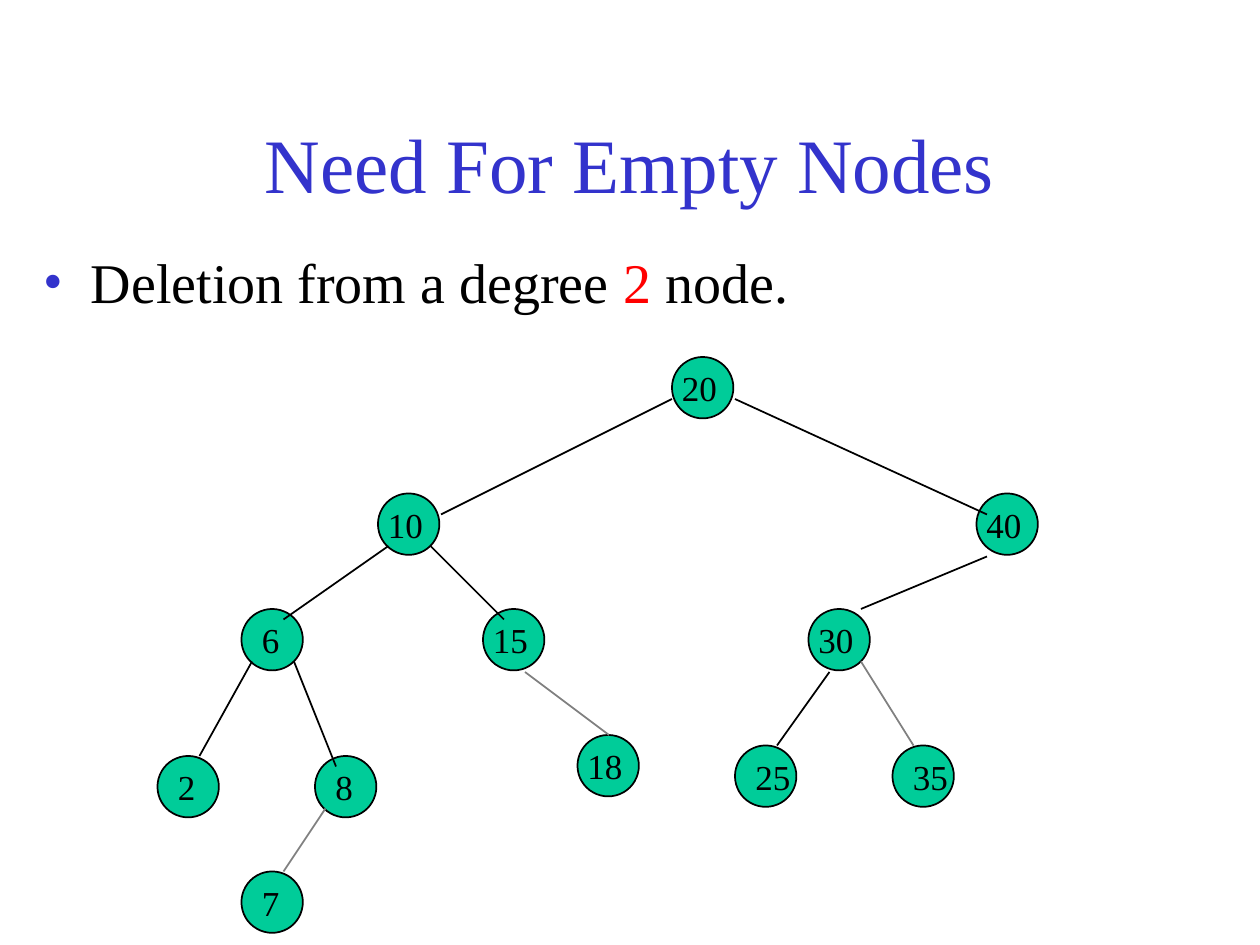
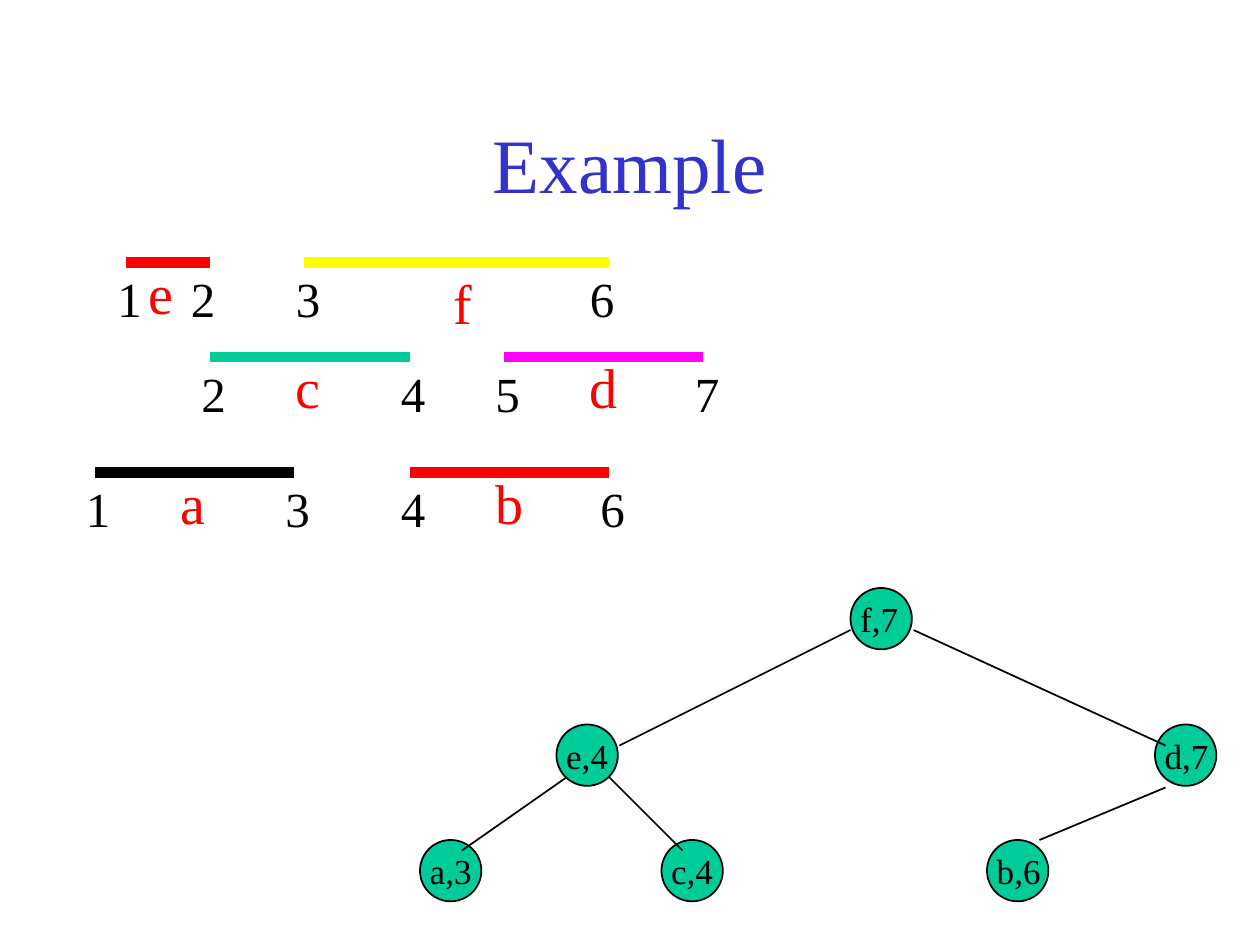
import pptx
import pptx.util
import pptx.dml.color
import pptx.enum.shapes
import pptx.enum.text
import pptx.oxml.ns
from lxml import etree

# Look
FONT = "Times New Roman"
BLUE, BLACK, RED = "3333CC", "000000", "FF0000"
GREEN, GRAY = "00CC99", "808080"
STEP = 2.54 / 12  # grid step in cm; every place below counts these steps
NODE = 5.85

# Tree: node places, then edges as x1, y1, x2, y2, colour
TOP = [(64, 34), (36, 47), (93, 47), (23, 58), (46, 58), (77, 58)]
LOW = [(15, 72), (30, 72), (70, 71), (85, 71), (23, 83), (55, 70)]
TOP_EDGES = [
    (64, 38, 42, 49, BLACK), (70, 38, 94, 49, BLACK),
    (37, 52, 27, 59, BLACK), (41, 52, 48, 59, BLACK),
    (94, 53, 82, 58, BLACK),
]
LOW_EDGES = [
    (24, 63, 19, 72, BLACK), (28, 63, 32, 73, BLACK),
    (79, 64, 74, 71, BLACK), (82, 63, 87, 71, GRAY),
    (31, 77, 27, 83, GRAY), (50, 64, 58, 70, GRAY),
]
KEYS = ["20", "10", "40", "6", "15", "30", "2", "8", "25", "35", "7", "18"]
PAIRS = ["f,7", "e,4", "d,7", "a,3", "c,4", "b,6"]
SHIFT = (17, 22)  # offset of the second tree

# Label width by length; labels set further right in their node
WIDTHS = {1: 4.2, 2: 5.9, 3: 7}
INDENT = {"25", "35"}

# Intervals: name, its place, start, end, bar left, right, y, colour
SPANS = [
    ("a", (16, 44), "1", "3", 9, 28, 45, BLACK),
    ("c", (27, 33), "2", "4", 20, 39, 34, GREEN),
    ("b", (46, 44), "4", "6", 39, 58, 45, RED),
    ("f", (42, 25), "3", "6", 29, 58, 25, "FFFF00"),
    ("d", (55, 33), "5", "7", 48, 67, 34, "FF00FF"),
    ("e", (13, 24), "1", "2", 12, 20, 25, RED),
]


def grid(*nums):
    return [pptx.util.Cm(n * STEP) for n in nums]


def rgb(code):
    return pptx.dml.color.RGBColor.from_string(code)


def text(slide, box, runs, size, color=BLACK, wrap=True, before=0):
    """Add one paragraph; a run is a string or a (string, colour) pair."""
    shape = slide.shapes.add_textbox(*grid(*box))
    frame = shape.text_frame
    frame.word_wrap = wrap
    para = frame.paragraphs[0]
    if before:
        para.space_before = pptx.util.Pt(before)
    para.font.name = FONT
    para.font.size = pptx.util.Pt(size)
    para.font.color.rgb = rgb(color)
    for part in runs:
        run = para.add_run()
        if isinstance(part, tuple):
            run.text, code = part
            run.font.color.rgb = rgb(code)
        else:
            run.text = part
    return frame


def title(slide, words):
    frame = text(slide, (9, 8, 102, 15), [words], 44, BLUE)
    frame.vertical_anchor = pptx.enum.text.MSO_ANCHOR.MIDDLE
    frame.paragraphs[0].alignment = pptx.enum.text.PP_ALIGN.CENTER


def bullet(frame):
    props = frame.paragraphs[0].font._element.getparent()
    props.set("marL", str(pptx.util.Cm(0.95)))
    props.set("indent", str(pptx.util.Cm(-0.95)))
    qn = pptx.oxml.ns.qn
    tint = etree.Element(qn("a:buClr"))
    etree.SubElement(tint, qn("a:srgbClr")).set("val", BLUE)
    face = etree.Element(qn("a:buFont"))
    face.set("typeface", FONT)
    mark = etree.Element(qn("a:buChar"))
    mark.set("char", "•")
    last = props.find(qn("a:defRPr"))
    for part in (tint, face, mark):
        last.addprevious(part)


def line(slide, ends, color, width=1):
    kind = pptx.enum.shapes.MSO_CONNECTOR.STRAIGHT
    edge = slide.shapes.add_connector(kind, *grid(*ends))
    edge.line.color.rgb = rgb(color)
    edge.line.width = pptx.util.Pt(width)
    etree.SubElement(edge._element.spPr, pptx.oxml.ns.qn("a:effectLst"))


def tree(slide, spots, edges, labels, shift=(0, 0)):
    dx, dy = shift
    spots = [(x + dx, y + dy) for x, y in spots]
    for x, y in spots:
        kind = pptx.enum.shapes.MSO_SHAPE.OVAL
        node = slide.shapes.add_shape(kind, *grid(x, y, NODE, NODE))
        node.shadow.inherit = False
        node.fill.solid()
        node.fill.fore_color.rgb = rgb(GREEN)
        node.line.color.rgb = rgb(BLACK)
        node.line.width = pptx.util.Pt(1)
    for x1, y1, x2, y2, color in edges:
        line(slide, (x1 + dx, y1 + dy, x2 + dx, y2 + dy), color)
    for (x, y), label in zip(spots, labels):
        inset = 0.75 if len(label) == 1 or label in INDENT else -0.25
        box = (x + inset, y + 0.35, WIDTHS[len(label)], 5.2)
        text(slide, box, [label], 20, wrap=False)


def span(slide, name, spot, start, end, left, right, y, color):
    line(slide, (left, y, right, y), color, 6)
    back = 3 if y == 25 else 2  # the top row sets its end number further left
    for x, num in ((left - 2, start), (right - back, end)):
        text(slide, (x, y, 5, 6.8), [num], 28, before=17.5)
    text(slide, (*spot, 5, 7.7), [name], 32, RED, before=20)


def main():
    deck = pptx.Presentation()
    deck.slide_width, deck.slide_height = grid(120, 90)
    blank = deck.slide_layouts[6]

    # Deletion tree
    slide = deck.slides.add_slide(blank)
    title(slide, "Need For Empty Nodes")
    words = ["Deletion from a degree ", ("2", RED), " node."]
    bullet(text(slide, (3, 23, 102, 8), words, 32, before=8))
    tree(slide, TOP + LOW, TOP_EDGES + LOW_EDGES, KEYS)

    # Intervals and their tree
    slide = deck.slides.add_slide(blank)
    title(slide, "Example")
    for item in SPANS:
        span(slide, *item)
    tree(slide, TOP, TOP_EDGES, PAIRS, SHIFT)

    deck.save("out.pptx")


if __name__ == "__main__":
    main()
